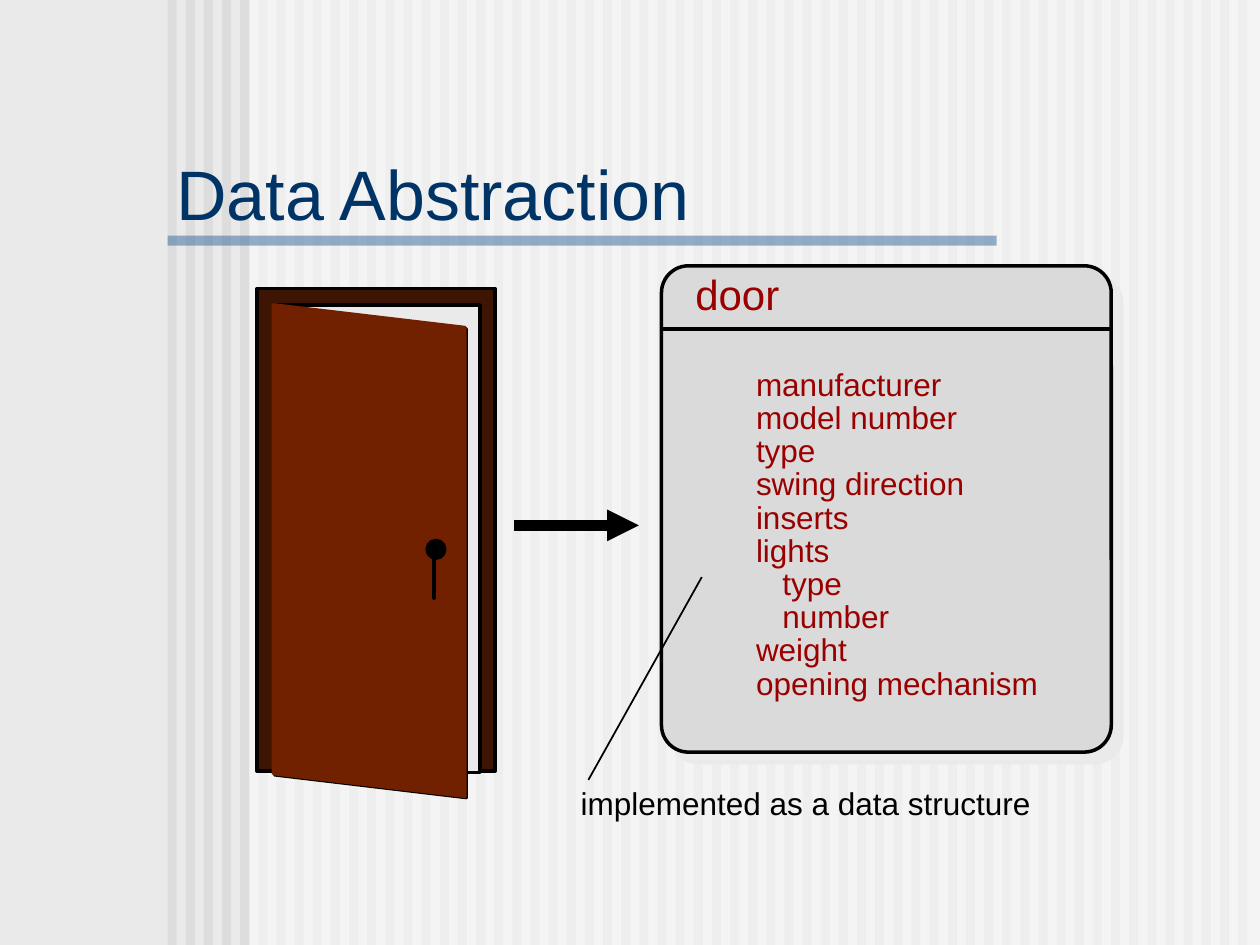
"""Build the Data Abstraction slide: a door turned into a data structure."""
from lxml import etree
from pptx import Presentation
from pptx import util as u
from pptx.dml import color
from pptx.enum import shapes, text
from pptx.oxml import ns

COLUMNS, ROWS = 100, 75
CELL = u.Inches(0.1)
STRIPES, STRIPE_LEFT, STRIPE_PITCH = 60, 13.3, 1.44
FONT = "Arial"

BLACK = color.RGBColor(0x00, 0x00, 0x00)
WHITE = color.RGBColor(0xFF, 0xFF, 0xFF)
PAPER = color.RGBColor(0xEA, 0xEA, 0xEA)
STRIPE = color.RGBColor(0xDD, 0xDD, 0xDD)
RULE = color.RGBColor(0x33, 0x66, 0x99)
NAVY = color.RGBColor(0x00, 0x33, 0x66)
CARD = color.RGBColor(0xDA, 0xDA, 0xDA)
RED = color.RGBColor(0x9A, 0x00, 0x00)
FRAME = color.RGBColor(0x3E, 0x14, 0x03)
WOOD = color.RGBColor(0x71, 0x20, 0x00)

FIELDS = [
    ("manufacturer", 0), ("model number", 0), ("type", 0),
    ("swing direction", 0), ("inserts", 0), ("lights", 0),
    ("type", 2.1), ("number", 2.1), ("weight", 0), ("opening mechanism", 0),
]


def cells(*counts):
    """Turn counts of grid cells into lengths."""
    return [u.Emu(round(count * CELL)) for count in counts]


def assign(target, formats):
    """Set every attribute named in a dict of format values."""
    for name, value in formats.items():
        setattr(target, name, value)


def add_node(parent, tag, **attributes):
    """Append a drawing element and return it."""
    return etree.SubElement(parent, ns.qn(tag), attributes)


def paint(shape, fill=None, line=None, width=2, opacity=100):
    """Give a shape its fill and line, without a shadow."""
    shape.shadow.inherit = False
    if fill is None:
        shape.fill.background()
    else:
        shape.fill.solid()
        shape.fill.fore_color.rgb = fill
    if opacity < 100:
        tint = next(shape.element.spPr.iter(ns.qn("a:srgbClr")))
        add_node(tint, "a:alpha", val=str(opacity * 1000))
    if line is None:
        shape.line.fill.background()
    else:
        shape.line.color.rgb = line
        shape.line.width = u.Pt(width)
    return shape


def add_block(page, place, kind=shapes.MSO_SHAPE.RECTANGLE, **look):
    """Add a painted preset shape."""
    return paint(page.shapes.add_shape(kind, *cells(*place)), **look)


def add_outline(page, corners, **look):
    """Add a painted closed polygon."""
    points = [cells(*corner) for corner in corners]
    builder = page.shapes.build_freeform(*points[0])
    builder.add_line_segments(points[1:], close=True)
    return paint(builder.convert_to_shape(), **look)


def add_line(page, start, end, width, arrow=False):
    """Add a black line, with an arrowhead at its end if wanted."""
    line = page.shapes.add_connector(
        shapes.MSO_CONNECTOR.STRAIGHT, *cells(*start, *end))
    line.line.color.rgb = BLACK
    line.line.width = u.Pt(width)
    outline = line.element.spPr
    if arrow:
        add_node(outline.find(ns.qn("a:ln")), "a:tailEnd", type="triangle")
    add_node(outline, "a:effectLst")


def write(para, words, size, ink):
    """Write one left-aligned run of text in a paragraph."""
    para.alignment = text.PP_ALIGN.LEFT
    span = para.add_run()
    span.text = words
    assign(span.font, {"name": FONT, "size": u.Pt(size)})
    span.font.color.rgb = ink


def add_label(page, place, words, size, ink):
    """Add a one-line text box that fits its text."""
    frame = page.shapes.add_textbox(*cells(*place)).text_frame
    assign(frame, {"word_wrap": False,
                   "auto_size": text.MSO_AUTO_SIZE.SHAPE_TO_FIT_TEXT})
    write(frame.paragraphs[0], words, size, ink)


def place_holder(holder, place, anchor, inset_x, inset_y):
    """Move a placeholder to the front and set up its text frame."""
    assign(holder, dict(zip(("left", "top", "width", "height"), cells(*place))))
    side, edge = cells(inset_x, inset_y)
    assign(holder.text_frame, {
        "word_wrap": True, "auto_size": text.MSO_AUTO_SIZE.NONE,
        "vertical_anchor": anchor, "margin_left": side, "margin_right": side,
        "margin_top": edge, "margin_bottom": edge})
    holder.element.getparent().append(holder.element)
    return holder.text_frame


def draw_backdrop(page):
    """Draw the striped background and the rule below the title."""
    page.background.fill.solid()
    page.background.fill.fore_color.rgb = PAPER
    for number in range(STRIPES):
        left = STRIPE_LEFT + number * STRIPE_PITCH
        add_block(page, (left, 0, STRIPE_PITCH / 2, ROWS), fill=STRIPE)
    add_block(page, (19.8, 0, COLUMNS - 19.8, ROWS), fill=WHITE, opacity=50)
    add_block(page, (STRIPE_LEFT, 18.7, 65.8, 0.8), fill=RULE, opacity=50)


def draw_card(page):
    """Draw the shadowed card with its heading and divider."""
    card = add_block(page, (52.5, 21.1, 35.7, 38.6),
                     shapes.MSO_SHAPE.ROUNDED_RECTANGLE, fill=CARD, line=BLACK)
    card.adjustments[0] = 0.06
    effects = card.element.spPr.find(ns.qn("a:effectLst"))
    shadow = add_node(effects, "a:outerShdw", dist=str(u.Pt(8.5)),
                      dir="2700000", algn="ctr", rotWithShape="0")
    add_node(shadow, "a:srgbClr", val=str(PAPER))
    add_line(page, (52.5, 26.1), (88.1, 26.1), 2)
    add_label(page, (54.2, 20.8, 8.7, 5), "door", 24, RED)


def list_fields(holder):
    """List the door's fields, with nested ones indented."""
    frame = place_holder(holder, (59, 28.8, 26, 28),
                         text.MSO_ANCHOR.TOP, 1, 0.5)
    for number, (words, indent) in enumerate(FIELDS):
        para = frame.add_paragraph() if number else frame.paragraphs[0]
        assign(para, {"line_spacing": u.Pt(19), "space_before": u.Pt(0),
                      "space_after": u.Pt(0)})
        layout = para._p.get_or_add_pPr()
        layout.set("marL", str(cells(indent)[0]))
        layout.set("indent", "0")
        add_node(layout, "a:buNone")
        write(para, words, 18, RED)


def draw_door(page):
    """Draw the open door in its frame, with knob and handle."""
    add_block(page, (20.4, 22.9, 18.9, 38.3), fill=FRAME, line=BLACK)
    add_block(page, (21.7, 24.2, 16.4, 37.1), fill=PAPER, line=BLACK)
    leaf = [(21.7, 24.2), (36.9, 26), (36.9, 63.2), (21.7, 61.4)]
    edge = [(left + 0.1, top + 0.1) for left, top in leaf]
    add_outline(page, edge, line=BLACK)
    add_outline(page, leaf, fill=WOOD, line=WOOD)
    add_block(page, (33.9, 42.9, 1.4, 1.4), shapes.MSO_SHAPE.OVAL,
              fill=BLACK, line=BLACK)
    add_block(page, (34.4, 44.2, 0.1, 3.3), fill=BLACK, line=BLACK)


def main():
    """Build and save the deck."""
    deck = Presentation()
    assign(deck, {"slide_width": COLUMNS * CELL, "slide_height": ROWS * CELL})
    page = deck.slides.add_slide(deck.slide_layouts[1])
    title, body = page.placeholders
    draw_backdrop(page)
    heading = place_holder(title, (13.3, 11.7, 42.5, 7.2),
                           text.MSO_ANCHOR.BOTTOM, 0.7, 0.3)
    write(heading.paragraphs[0], "Data Abstraction", 40, NAVY)
    draw_card(page)
    add_line(page, (55.7, 45.8), (46.7, 61.9), 1)
    add_label(page, (45.1, 61.7, 37.7, 4),
              "implemented as a data structure", 18, BLACK)
    list_fields(body)
    draw_door(page)
    add_line(page, (40.8, 41.7), (50.7, 41.7), 6, arrow=True)
    deck.save("out.pptx")


main()
